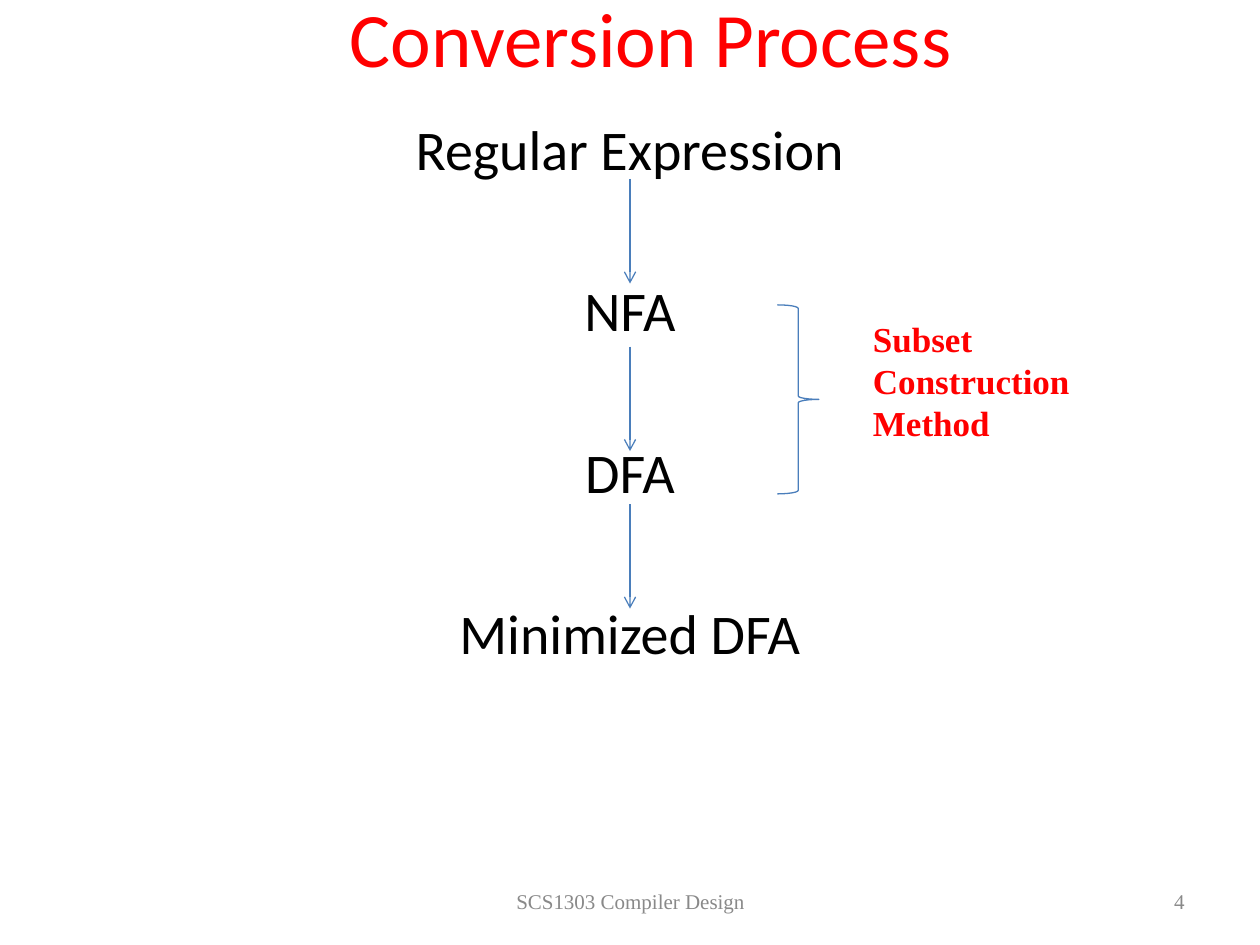
from lxml import etree
from pptx import Presentation
from pptx.dml.color import RGBColor
from pptx.enum.shapes import MSO_CONNECTOR as Connector, MSO_SHAPE as Shape
from pptx.enum.text import MSO_ANCHOR as Anchor, PP_ALIGN as Align
from pptx.oxml.ns import qn
from pptx.util import Inches, Pt

RED, BLACK, GRAY, BLUE = "FF0000", "000000", "898989", "4A7EBB"
SERIF = "Times New Roman"
STAGES = ["Regular Expression", "NFA", "DFA", "Minimized DFA"]
ARROW_TOPS = [1.42, 2.75, 4]
ARROW_LENGTH = 0.83
CENTER_X = 5


def color(value):
    return RGBColor.from_string(value)


def add_text(slide, text, left, top, width, height, *, size, fill, font="Calibri",
             bold=False, align=Align.LEFT, anchor=Anchor.TOP, inset=(0, 0), gap=0):
    """Each line of text becomes a paragraph; gap is the space between them in points."""
    box = slide.shapes.add_textbox(Inches(left), Inches(top), Inches(width), Inches(height))
    frame = box.text_frame
    frame.word_wrap = True
    frame.vertical_anchor = anchor
    frame.margin_left = frame.margin_right = Inches(inset[0])
    frame.margin_top = frame.margin_bottom = Inches(inset[1])
    frame.text = text
    for index, paragraph in enumerate(frame.paragraphs):
        paragraph.alignment = align
        paragraph.space_before = Pt(gap if index else 0)
        paragraph.font.name = font
        paragraph.font.size = Pt(size)
        paragraph.font.bold = bold
        paragraph.font.color.rgb = color(fill)


def style_line(line):
    line.color.rgb = color(BLUE)
    line.width = Pt(0.75)


def add_down_arrow(slide, top):
    x = Inches(CENTER_X)
    arrow = slide.shapes.add_connector(
        Connector.STRAIGHT, x, Inches(top), x, Inches(top + ARROW_LENGTH))
    style_line(arrow.line)
    etree.SubElement(arrow.line._get_or_add_ln(), qn("a:tailEnd"), type="arrow")
    etree.SubElement(arrow._element.spPr, qn("a:effectLst"))


def add_brace(slide, left, top, width, height):
    brace = slide.shapes.add_shape(
        Shape.RIGHT_BRACE, Inches(left), Inches(top), Inches(width), Inches(height))
    brace.shadow.inherit = False
    brace.fill.background()
    style_line(brace.line)


def main():
    presentation = Presentation()
    presentation.slide_width = Inches(10)
    presentation.slide_height = Inches(7.5)
    slide = presentation.slides.add_slide(presentation.slide_layouts[6])

    add_text(slide, "Conversion Process", 1.25, 0, 7.83, 0.58, size=44, fill=RED,
             align=Align.CENTER, anchor=Anchor.MIDDLE)
    add_text(slide, "\n".join(STAGES), 0.5, 0.91, 9, 5.7, size=32, fill=BLACK,
             align=Align.CENTER, gap=53.8)
    for top in ARROW_TOPS:
        add_down_arrow(slide, top)

    add_brace(slide, 6.17, 2.42, 0.33, 1.5)
    add_text(slide, "Subset Construction Method", 6.83, 2.47, 2.33, 1.1, size=20,
             fill=RED, font=SERIF, bold=True, inset=(0.1, 0.05))

    footer = dict(size=12, fill=GRAY, font=SERIF, anchor=Anchor.MIDDLE, inset=(0.1, 0.05))
    add_text(slide, "SCS1303 Compiler Design", 3.42, 6.95, 3.17, 0.4,
             align=Align.CENTER, **footer)
    add_text(slide, "4", 7.17, 6.95, 2.33, 0.4, align=Align.RIGHT, **footer)

    presentation.save("out.pptx")


if __name__ == "__main__":
    main()
